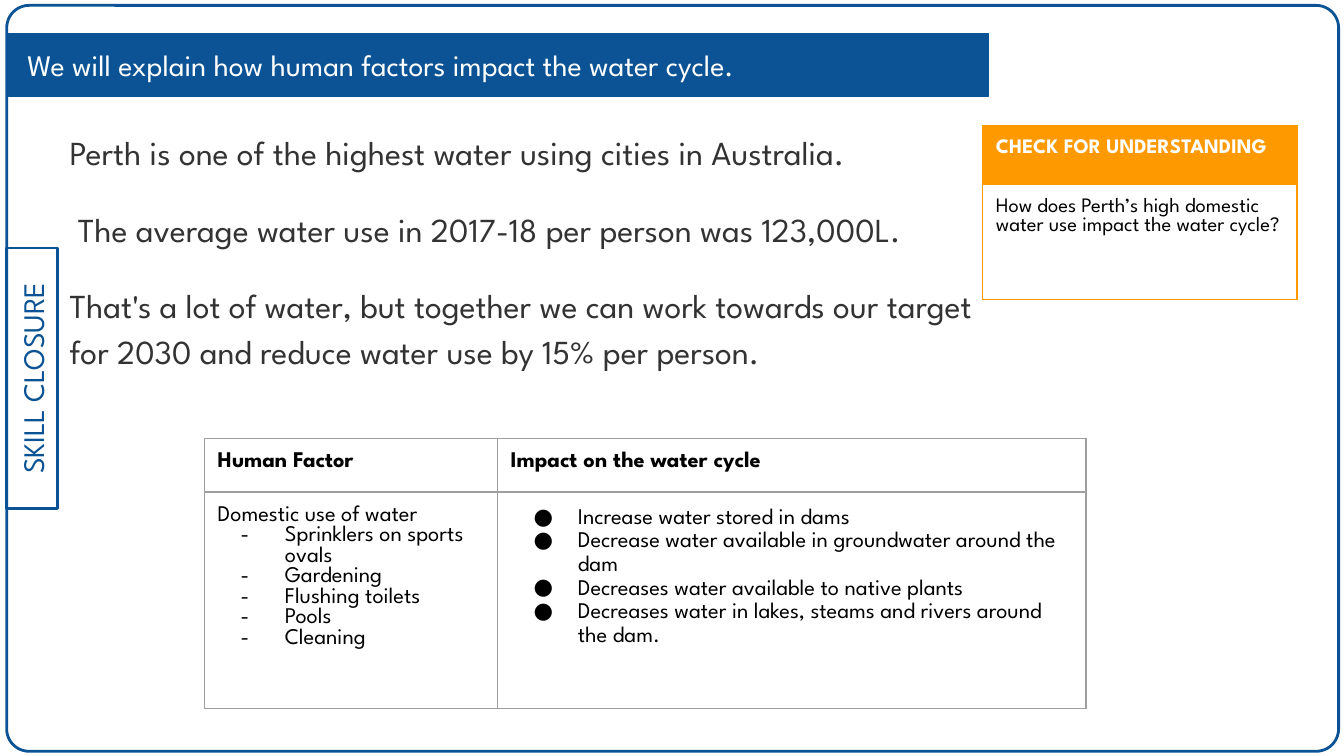
import lxml.etree
import pptx
import pptx.dml.color
import pptx.enum.shapes
import pptx.enum.text
import pptx.oxml
import pptx.oxml.ns
import pptx.util

RGBColor = pptx.dml.color.RGBColor
BLUE = RGBColor(0x0B, 0x53, 0x94)
ORANGE = RGBColor(0xFF, 0x99, 0x00)
GREY = RGBColor(0x9E, 0x9E, 0x9E)
CHARCOAL = RGBColor(0x33, 0x33, 0x33)
BLACK = RGBColor(0, 0, 0)
WHITE = RGBColor(0xFF, 0xFF, 0xFF)
FONT = "League Spartan"
PX = 4572
MARGIN = 20 * PX


def add_text(frame, text, size=12, color=BLACK, bold=False, align=None,
             spacing=None, before=None, after=None, bullet=None):
    qn = pptx.oxml.ns.qn
    paragraph = frame.paragraphs[0] if not frame.text else frame.add_paragraph()
    if bullet:
        properties = paragraph._p.get_or_add_pPr()
        properties.set("marL", str(100 * PX))
        properties.set("indent", str(-66 * PX))
        bullet_color = lxml.etree.SubElement(properties, qn("a:buClr"))
        lxml.etree.SubElement(bullet_color, qn("a:srgbClr"), val=str(color))
        lxml.etree.SubElement(properties, qn("a:buSzPts"), val=str(size * 100))
        lxml.etree.SubElement(properties, qn("a:buFont"), typeface=FONT)
        lxml.etree.SubElement(properties, qn("a:buChar"), char=bullet)
    paragraph.alignment = align
    paragraph.line_spacing = spacing
    if before:
        paragraph.space_before = pptx.util.Pt(before)
    if after:
        paragraph.space_after = pptx.util.Pt(after)
    run = paragraph.add_run()
    run.text = text
    run.font.name = FONT
    run.font.size = pptx.util.Pt(size)
    run.font.bold = bold
    run.font.color.rgb = color
    end = lxml.etree.SubElement(paragraph._p, qn("a:endParaRPr"), sz=str(size * 100))
    lxml.etree.SubElement(end, qn("a:latin"), typeface=FONT)


def build_table(left, top, widths, heights, border):
    frame = slide.shapes.add_table(
        len(heights), len(widths), left * PX, top * PX,
        sum(widths) * PX, sum(heights) * PX)
    table = frame.table
    table.first_row = False
    table.horz_banding = False
    for column, width in zip(table.columns, widths):
        column.width = width * PX
    for row, height in zip(table.rows, heights):
        row.height = height * PX
    for cell in table.iter_cells():
        cell.margin_left = cell.margin_right = MARGIN
        cell.margin_top = cell.margin_bottom = MARGIN
        properties = cell._tc.get_or_add_tcPr()
        for side in ("lnL", "lnR", "lnT", "lnB"):
            properties.append(pptx.oxml.parse_xml(
                f'<a:{side} {pptx.oxml.ns.nsdecls("a")} w="9525"><a:solidFill>'
                f'<a:srgbClr val="{border}"/></a:solidFill></a:{side}>'))
        cell.fill.background()
    return table


presentation = pptx.Presentation()
presentation.slide_width = 2000 * PX
presentation.slide_height = 1125 * PX
slide = presentation.slides.add_slide(presentation.slide_layouts[6])

SHAPE = pptx.enum.shapes.MSO_SHAPE
shapes = []
for kind, left, top, width, height, fill, line_width in [
    (SHAPE.ROUNDED_RECTANGLE, 10, 8, 1982, 1110, None, 1.5),
    (SHAPE.RECTANGLE, -146, 525, 388, 76, None, 1.5),
    (SHAPE.RECTANGLE, 10, 50, 1461, 93, BLUE, 0.75),
]:
    shape = slide.shapes.add_shape(kind, left * PX, top * PX, width * PX, height * PX)
    shape.shadow.inherit = False
    if fill:
        shape.fill.solid()
        shape.fill.fore_color.rgb = fill
    else:
        shape.fill.background()
    shape.line.color.rgb = BLUE
    shape.line.width = pptx.util.Pt(line_width)
    shapes.append(shape)
frame_shape, side_label, banner = shapes
frame_shape.adjustments[0] = 0.03
side_label.rotation = 270

title = slide.shapes.add_textbox(21 * PX, 58 * PX, 1504 * PX, 76 * PX)
body = slide.shapes.add_textbox(84 * PX, 168 * PX, 1388 * PX, 498 * PX)
for shape in (side_label, title, body):
    text_frame = shape.text_frame
    text_frame.word_wrap = True
    text_frame.margin_left = text_frame.margin_right = MARGIN
    text_frame.margin_top = text_frame.margin_bottom = MARGIN
    text_frame.vertical_anchor = pptx.enum.text.MSO_ANCHOR.MIDDLE
body.text_frame.vertical_anchor = pptx.enum.text.MSO_ANCHOR.TOP

add_text(side_label.text_frame, "SKILL CLOSURE", size=16, color=BLUE,
         align=pptx.enum.text.PP_ALIGN.CENTER)
add_text(title.text_frame, "We will explain how human factors impact the water cycle.",
         size=16, color=WHITE)
for text, before, after in [
    ("Perth is one of the highest water using cities in Australia.", None, None),
    (" The average water use in 2017-18 per person was 123,000L.", 16, None),
    ("That's a lot of water, but together we can work towards our target "
     "for 2030 and reduce water use by 15% per person.", 16, 16),
]:
    add_text(body.text_frame, text, size=18, color=CHARCOAL, spacing=1.15,
             before=before, after=after)

check_table = build_table(1462, 187, [468], [88, 171], ORANGE)
check_header = check_table.cell(0, 0)
check_header.fill.solid()
check_header.fill.fore_color.rgb = ORANGE
add_text(check_header.text_frame, "CHECK FOR UNDERSTANDING", size=11, color=WHITE, bold=True)
add_text(check_table.cell(1, 0).text_frame,
         "How does Perth’s high domestic water use impact the water cycle?", size=11)

factor_table = build_table(304, 652, [436, 876], [72, 322], GREY)
for column, heading in enumerate(["Human Factor", "Impact on the water cycle"]):
    add_text(factor_table.cell(0, column).text_frame, heading, bold=True)

factors = factor_table.cell(1, 0).text_frame
add_text(factors, "Domestic use of water")
for factor in ["Sprinklers on sports ovals", "Gardening", "Flushing toilets", "Pools", "Cleaning"]:
    add_text(factors, factor, bullet="-")

impacts = factor_table.cell(1, 1).text_frame
for impact in [
    "Increase water stored in dams",
    "Decrease water available in groundwater around the dam",
    "Decreases water available to native plants",
    "Decreases water in lakes, steams and rivers around the dam.",
]:
    add_text(impacts, impact, spacing=1.15, bullet="●")

presentation.save("out.pptx")
